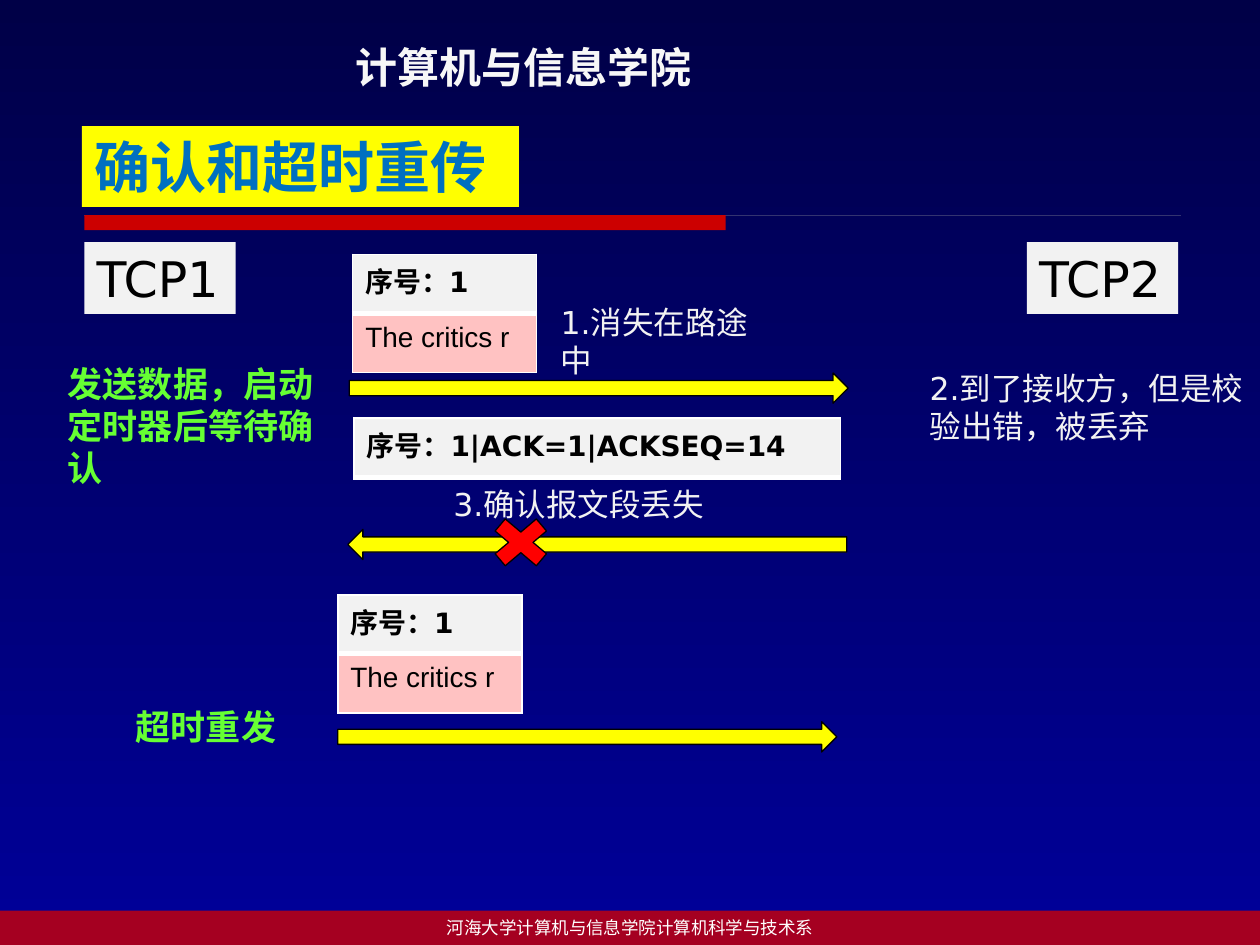
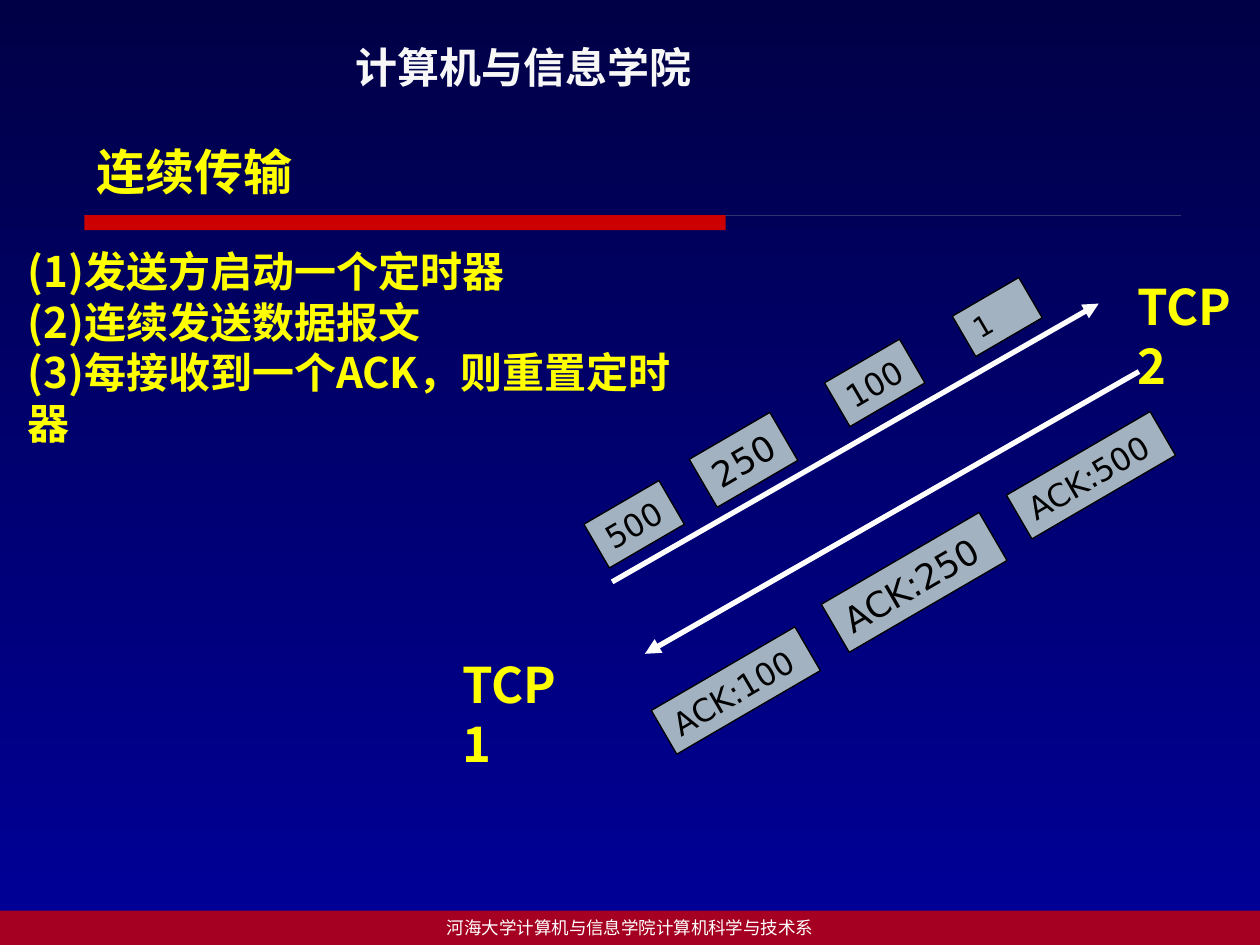
from lxml import etree
from pptx import Presentation
from pptx import util as u
from pptx.dml import color as dml
from pptx.enum import shapes, text
from pptx.oxml import ns

Cm, Pt = u.Cm, u.Pt
PRESET, ALIGN, ANCHOR = shapes.MSO_SHAPE, text.PP_ALIGN, text.MSO_ANCHOR
YELLOW, RED, PALE, BLACK, WHITE = "FFFF00", "CC0000", "F2F2F2", "000000", "FFFFFF"
GREEN, STEEL = "66FF33", "A3B2C1"
SANS, CJK = "DejaVu Sans", "Noto Sans CJK SC"


def paint(target, hex_color):
    """Give a fill, line fill or font fill one solid colour."""
    target.solid()
    target.fore_color.rgb = dml.RGBColor.from_string(hex_color)


def write(frame, lines, size, hex_color, font=SANS, bold=False, align=ALIGN.LEFT):
    frame.text = lines
    for paragraph in frame.paragraphs:
        layout = {"alignment": align, "space_before": Pt(0), "line_spacing": Pt(1.2 * size)}
        for key, value in layout.items():
            setattr(paragraph, key, value)
        for run in paragraph.runs:
            for key, value in {"size": Pt(size), "name": font, "bold": bold}.items():
                setattr(run.font, key, value)
            paint(run.font.fill, hex_color)
            east_asian = etree.SubElement(run.font._element, ns.qn("a:ea"))
            east_asian.set("typeface", CJK)


prs = Presentation()
prs.slide_width, prs.slide_height = Cm(25.4), Cm(19.05)

# Shared background
background = prs.slide_master.background.fill
background.gradient()
background.gradient_angle = 270
for stop, (position, shade) in zip(background.gradient_stops, [(0, "000047"), (1, "000099")]):
    stop.position = position
    stop.color.rgb = dml.RGBColor.from_string(shade)

retransmission = prs.slides.add_slide(prs.slide_layouts[5])
streaming = prs.slides.add_slide(prs.slide_layouts[1])

# Title, header, rule and footer of both slides
headings = [
    (retransmission, "确认和超时重传", (1.65, 2.54, 8.81, 1.63), 32, "0070C0"),
    (streaming, "连续传输", (1.7, 2.72, 5.33, 1.45), 28, YELLOW),
]
for slide, heading, box, size, ink in headings:
    title = slide.shapes.title
    title.left, title.top, title.width, title.height = map(Cm, box)
    title.text_frame.auto_size = text.MSO_AUTO_SIZE.NONE
    write(title.text_frame, heading, size, ink, CJK, True)

    header = slide.shapes.add_textbox(Cm(6.91), Cm(0.71), Cm(7.8), Cm(1.27))
    header.text_frame.word_wrap = True
    write(header.text_frame, "计算机与信息学院", 24, "F7F7F7", SANS, True)

    rule = slide.shapes.add_connector(
        shapes.MSO_CONNECTOR.STRAIGHT, Cm(1.7), Cm(4.34), Cm(23.8), Cm(4.34))
    paint(rule.line.fill, "333370")
    rule.line.width = Pt(0.5)
    etree.SubElement(rule._element.spPr, ns.qn("a:effectLst"))

    for box, fill in [((1.7, 4.34, 12.93, 0.3), RED), ((0, 18.36, 25.4, 0.69), "A50021")]:
        band = slide.shapes.add_shape(PRESET.RECTANGLE, *map(Cm, box))
        band.shadow.inherit = False
        paint(band.fill, fill)
        band.line.fill.background()
    band.text_frame.vertical_anchor = ANCHOR.MIDDLE
    write(band.text_frame, "河海大学计算机与信息学院计算机科学与技术系", 10, WHITE,
          "Times New Roman", align=ALIGN.CENTER)

paint(retransmission.shapes.title.fill, YELLOW)

# Segments sent between the two hosts
segments = [
    (7.11, 5.13, 3.71, ["序号：1", "The critics r"]),
    (7.14, 8.43, 9.8, ["序号：1|ACK=1|ACKSEQ=14"]),
    (6.81, 11.99, 3.71, ["序号：1", "The critics r"]),
]
for left, top, width, fields in segments:
    segment = retransmission.shapes.add_table(
        len(fields), 1, Cm(left), Cm(top), Cm(width), Cm(1.19 * len(fields))).table
    for row, field in enumerate(fields):
        is_header = row == 0
        cell = segment.cell(row, 0)
        cell.vertical_anchor = ANCHOR.MIDDLE if is_header else ANCHOR.TOP
        write(cell.text_frame, field, 16, BLACK, SANS if is_header else "Arial", is_header)
        properties = cell._tc.get_or_add_tcPr()
        for side, points in {"L": 1, "R": 1, "T": 1 if is_header else 3,
                             "B": 3 if is_header else 1}.items():
            border = etree.SubElement(properties, ns.qn(f"a:ln{side}"), w=str(Pt(points)))
            solid = etree.SubElement(border, ns.qn("a:solidFill"))
            etree.SubElement(solid, ns.qn("a:srgbClr"), val=WHITE)
        paint(cell.fill, PALE if is_header else "FFC2C2")

# Transfer arrows and the loss mark
marks = [
    (PRESET.RIGHT_ARROW, (7.04, 7.52, 10.06, 0.61), 0, YELLOW),
    (PRESET.RIGHT_ARROW, (7.01, 10.67, 10.06, 0.61), 180, YELLOW),
    (PRESET.RIGHT_ARROW, (6.81, 14.55, 10.06, 0.61), 0, YELLOW),
    (PRESET.MATH_MULTIPLY, (9.7, 10.26, 1.6, 1.35), 0, "FF0000"),
]
for preset, box, angle, fill in marks:
    mark = retransmission.shapes.add_shape(preset, *map(Cm, box))
    mark.shadow.inherit = False
    mark.rotation = angle
    paint(mark.fill, fill)
    paint(mark.line.fill, BLACK)
    mark.line.width = Pt(0.75)

# Hosts of the retransmission
for host_name, left in [("TCP1", 1.7), ("TCP2", 20.7)]:
    host = retransmission.shapes.add_shape(
        PRESET.RECTANGLE, Cm(left), Cm(4.88), Cm(3.05), Cm(1.45))
    host.shadow.inherit = False
    paint(host.fill, PALE)
    host.line.fill.background()
    host.text_frame.word_wrap = False
    write(host.text_frame, host_name, 28, BLACK)

# Remarks on both slides
remarks = [
    (retransmission, "1.消失在路途中", (11.05, 5.99, 4.9, 1.02), 18, PALE, SANS, False),
    (retransmission, "2.到了接收方，但是校验出错，被丢弃", (18.49, 7.32, 6.91, 1.8),
     18, PALE, SANS, False),
    (retransmission, "3.确认报文段丢失", (8.89, 9.65, 6.91, 1.02), 18, PALE, SANS, False),
    (retransmission, "发送数据，启动定时器后等待确认", (1.12, 7.19, 5.66, 2.82),
     20, GREEN, SANS, True),
    (retransmission, "超时重发", (2.49, 14.1, 3.61, 1.12), 20, GREEN, SANS, True),
    (streaming, "TCP1", (9.07, 13.08, 2.51, 1.45), 28, YELLOW, CJK, True),
    (streaming, "TCP2", (22.68, 5.46, 2.51, 1.45), 28, YELLOW, CJK, True),
]
for slide, words, box, size, ink, font, bold in remarks:
    remark = slide.shapes.add_textbox(*map(Cm, box))
    remark.text_frame.word_wrap = True
    write(remark.text_frame, words, size, ink, font, bold)

# Steps of continuous transmission
steps = streaming.placeholders[1]
steps.left, steps.top, steps.width, steps.height = map(Cm, (0.3, 4.83, 14.27, 3.33))
steps.text_frame.auto_size = text.MSO_AUTO_SIZE.NONE
write(steps.text_frame,
      "(1)发送方启动一个定时器\n(2)连续发送数据报文\n(3)每接收到一个ACK，则重置定时器",
      24, YELLOW, CJK, True)
for step in steps.text_frame.paragraphs:
    properties = step._p.get_or_add_pPr()
    properties.set("marL", "0")
    properties.set("indent", "0")
    etree.SubElement(properties, ns.qn("a:buNone"))

# Data and acknowledgement directions
for ends in [(12.34, 11.73, 22.15, 6.12), (22.96, 7.49, 13, 13.18)]:
    direction = streaming.shapes.add_connector(shapes.MSO_CONNECTOR.STRAIGHT, *map(Cm, ends))
    paint(direction.line.fill, WHITE)
    direction.line.width = Pt(3)
    etree.SubElement(direction.line._get_or_add_ln(), ns.qn("a:tailEnd"), type="triangle")
    etree.SubElement(direction._element.spPr, ns.qn("a:effectLst"))

# Packets along the two directions
packets = [
    ("1", (19.33, 5.92, 1.55, 0.94), 16),
    ("100", (16.76, 7.21, 1.75, 1.02), 18),
    ("250", (14.05, 8.71, 1.88, 1.12), 20),
    ("500", (11.91, 10.06, 1.75, 1.02), 18),
    ("ACK:500", (20.32, 9.07, 3.35, 1.02), 18),
    ("ACK:250", (16.59, 11.18, 3.68, 1.12), 20),
    ("ACK:100", (13.16, 13.41, 3.35, 1.02), 18),
]
for number, box, size in packets:
    packet = streaming.shapes.add_shape(PRESET.RECTANGLE, *map(Cm, box))
    packet.shadow.inherit = False
    packet.rotation = 329.8
    paint(packet.fill, STEEL)
    paint(packet.line.fill, BLACK)
    packet.line.width = Pt(0.75)
    packet.text_frame.word_wrap = number == "1"
    write(packet.text_frame, number, size, BLACK)

prs.save("out.pptx")
